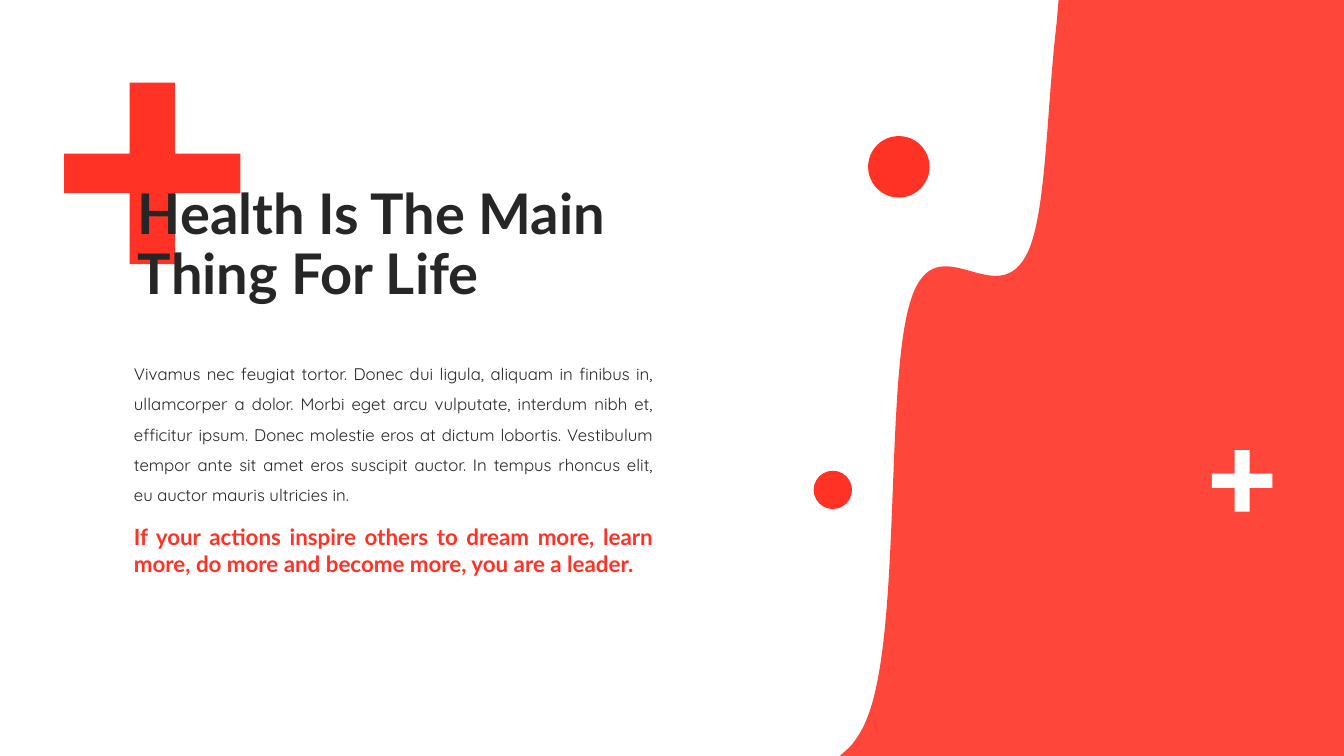
from dataclasses import dataclass

from lxml.etree import SubElement
from pptx import Presentation
from pptx.dml.color import RGBColor
from pptx.enum.shapes import MSO_SHAPE
from pptx.enum.text import MSO_ANCHOR, MSO_AUTO_SIZE, PP_ALIGN
from pptx.oxml.ns import qn
from pptx.util import Inches, Pt


@dataclass(frozen=True)
class Theme:
    red: RGBColor = RGBColor(0xFF, 0x32, 0x25)
    ink: RGBColor = RGBColor(0x26, 0x26, 0x26)
    white: RGBColor = RGBColor(0xFF, 0xFF, 0xFF)
    heading_font: str = "Lato"
    body_font: str = "Quicksand"
    title_size: int = 40
    quote_size: int = 16
    body_size: int = 12


THEME = Theme()
WAVE_FRAME = [(10.5, 0), (13.33, 0), (13.33, 7.5), (8.33, 7.5), (8.43, 7.41)]
# Each curve: two control points, then its end point.
WAVE_CURVES = [
    ((8.49, 7.34), (8.55, 7.25), (8.59, 7.15)),
    ((8.95, 6.32), (8.77, 3.74), (9.04, 2.96)),
    ((9.3, 2.19), (9.9, 3.15), (10.2, 2.49)),
    ((10.38, 2.08), (10.38, 1.08), (10.48, 0.23)),
]


def paint(shape, color, opacity=100):
    shape.shadow.inherit = False
    shape.fill.solid()
    shape.fill.fore_color.rgb = color
    shape.line.fill.background()
    if opacity < 100:
        color_element = shape.fill._xPr.find(qn("a:solidFill"))[0]
        SubElement(color_element, qn("a:alpha"), val=str(opacity * 1000))


def add_outline(slide, points, color, opacity=100):
    corners = [(Inches(x), Inches(y)) for x, y in points]
    builder = slide.shapes.build_freeform(*corners[0])
    builder.add_line_segments(corners[1:], close=True)
    outline = builder.convert_to_shape()
    paint(outline, color, opacity)
    return outline


def bend_last_segments(outline, curves):
    """Turn the last straight segments of an outline into Bezier curves."""
    segments = list(outline._element.iter(qn("a:lnTo")))[-len(curves):]
    for segment, curve in zip(segments, curves):
        segment.tag = qn("a:cubicBezTo")
        segment.remove(segment[0])
        for x, y in curve:
            SubElement(segment, qn("a:pt"), x=str(Inches(x) - outline.left),
                       y=str(Inches(y) - outline.top))


def add_wave(slide):
    curve_ends = [curve[-1] for curve in WAVE_CURVES]
    wave = add_outline(slide, WAVE_FRAME + curve_ends, THEME.red, opacity=90)
    bend_last_segments(wave, WAVE_CURVES)


def add_cross(slide, center, size, stem, arm, color):
    """Plus sign with an upright of width stem and a crossbar of height arm."""
    x, y = center
    half_width, half_height = size[0] / 2, size[1] / 2
    stem, arm = stem / 2, arm / 2
    quarter = [(stem, half_height), (stem, arm), (half_width, arm)]
    points = []
    for sign_x, sign_y, corners in (
        (1, -1, quarter), (1, 1, quarter[::-1]),
        (-1, 1, quarter), (-1, -1, quarter[::-1]),
    ):
        points += [(x + sign_x * dx, y + sign_y * dy) for dx, dy in corners]
    add_outline(slide, points, color)


def add_dot(slide, left, top, diameter):
    dot = slide.shapes.add_shape(
        MSO_SHAPE.OVAL, Inches(left), Inches(top), Inches(diameter), Inches(diameter)
    )
    paint(dot, THEME.red)


def add_text(slide, text, left, top, width, height, *, font, size, color,
             bold=False, align=PP_ALIGN.LEFT, spacing=None,
             anchor=MSO_ANCHOR.TOP, fit=MSO_AUTO_SIZE.SHAPE_TO_FIT_TEXT):
    box = slide.shapes.add_textbox(
        Inches(left), Inches(top), Inches(width), Inches(height)
    )
    frame = box.text_frame
    frame.word_wrap = True
    frame.auto_size = fit
    frame.vertical_anchor = anchor
    paragraph = frame.paragraphs[0]
    paragraph.alignment = align
    paragraph.line_spacing = spacing
    run = paragraph.add_run()
    run.text = text
    run.font.name = font
    run.font.size = Pt(size)
    run.font.bold = bold
    run.font.color.rgb = color


def main():
    deck = Presentation()
    deck.slide_width, deck.slide_height = Inches(13.33), Inches(7.5)
    slide = deck.slides.add_slide(deck.slide_layouts[6])

    add_wave(slide)
    add_cross(slide, (1.51, 1.72), (1.75, 1.8), 0.45, 0.39, THEME.red)
    add_text(
        slide,
        "Vivamus nec feugiat tortor. Donec dui ligula, aliquam in finibus in, "
        "ullamcorper a dolor. Morbi eget arcu vulputate, interdum nibh et, "
        "efficitur ipsum. Donec molestie eros at dictum lobortis. Vestibulum "
        "tempor ante sit amet eros suscipit auctor. In tempus rhoncus elit, "
        "eu auctor mauris ultricies in.",
        1.23, 3.46, 5.35, 1.62, font=THEME.body_font, size=THEME.body_size,
        color=THEME.ink, align=PP_ALIGN.JUSTIFY, spacing=1.5,
    )
    add_text(
        slide,
        "If your actions inspire others to dream more, learn more, "
        "do more and become more, you are a leader.",
        1.23, 5.14, 5.35, 0.64, font=THEME.heading_font, size=THEME.quote_size,
        color=THEME.red, bold=True, align=PP_ALIGN.JUSTIFY,
    )
    add_dot(slide, 8.07, 4.67, 0.38)
    add_dot(slide, 8.61, 1.35, 0.61)
    add_cross(slide, (12.32, 4.77), (0.6, 0.61), 0.15, 0.14, THEME.white)
    add_text(
        slide, "Health Is The Main Thing For Life",
        1.27, 1.72, 5.08, 1.45, font=THEME.heading_font, size=THEME.title_size,
        color=THEME.ink, bold=True, spacing=0.9, anchor=MSO_ANCHOR.MIDDLE,
        fit=MSO_AUTO_SIZE.NONE,
    )
    deck.save("out.pptx")


if __name__ == "__main__":
    main()
